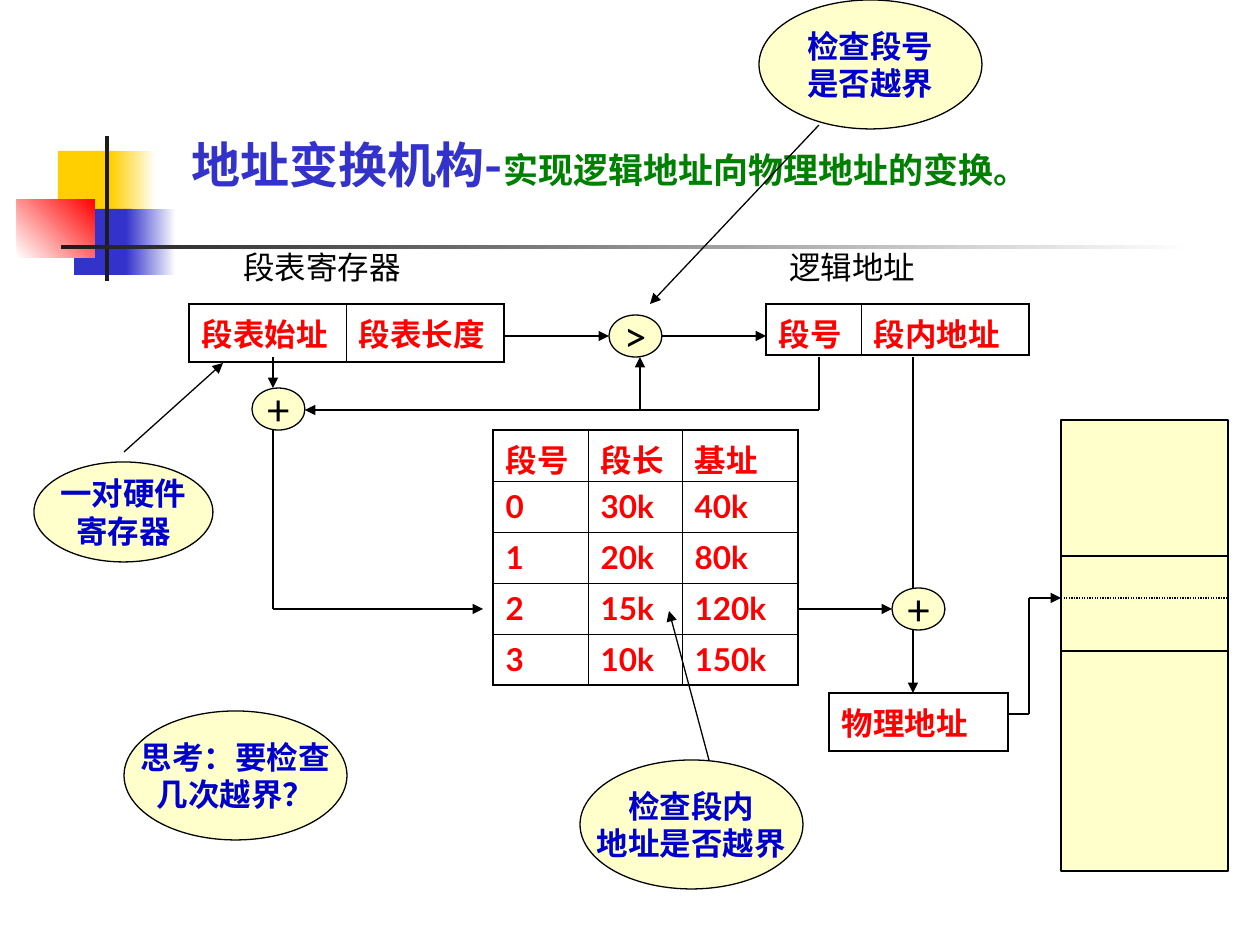
from dataclasses import dataclass
from itertools import pairwise
from typing import Any, Optional

from pptx import Presentation
from pptx.dml.color import RGBColor as Rgb
from pptx.enum.dml import MSO_LINE as Dash
from pptx.enum.shapes import MSO_CONNECTOR as Conn, MSO_SHAPE as Form
from pptx.enum.text import MSO_ANCHOR as Anchor, PP_ALIGN as Align
from pptx.oxml.xmlchemy import OxmlElement as Node
from pptx.util import Pt

SCALE = 914400 / 126
HAN = "Noto Sans CJK SC"
BLACK, CREAM, BLUE = "000000", "FFFFCC", "3333CC"
THICK, THIN = 1.08, 0.45


@dataclass
class Style:
    size: int
    face: str
    tint: str
    bold: bool = False


@dataclass
class Block:
    box: tuple
    fill: str
    fade: Optional[str] = None
    angle: int = 0


@dataclass
class Oval:
    box: tuple
    lines: list
    style: Style


@dataclass
class Grid:
    left: int
    top: int
    cols: list
    tall: int
    rows: list


@dataclass
class Route:
    stops: list
    head: bool = True
    dots: bool = False


LABEL = Style(18, "Lato", BLACK)
CELL = Style(18, "Lato", "FF0000", True)
NOTE = Style(18, "Times New Roman", "0000CC", True)
SIGN = Style(24, "Lato", BLACK)
HEAD = Style(28, HAN, BLUE, True)
SUB = Style(20, "Lato", "008000", True)

BLOCKS = [
    Block((58, 151, 60, 66), "FFCF01"),
    Block((111, 151, 45, 66), "FFCF01", "FFFFFF"),
    Block((74, 209, 58, 66), BLUE),
    Block((126, 209, 50, 66), BLUE, "FFFFFF"),
    Block((17, 199, 78, 59), "FFFFFF", "FF0000", 45),
    Block((105, 136, 4, 145), "1C1C1C"),
    Block((61, 245, 1134, 4), "1C1C1C", "FFFFFF"),
]
GRIDS = [
    Grid(829, 693, [179], 58, [["物理地址"]]),
    Grid(189, 304, [157, 158], 58, [["段表始址", "段表长度"]]),
    Grid(766, 304, [95, 168], 51, [["段号", "段内地址"]]),
    Grid(493, 430, [95, 94, 116], 51, [
        ["段号", "段长", "基址"],
        ["0", "30k", "40k"],
        ["1", "20k", "80k"],
        ["2", "15k", "120k"],
        ["3", "10k", "150k"],
    ]),
]
OVALS = [
    Oval((609, 315, 53, 42), [">"], SIGN),
    Oval((252, 388, 53, 42), ["+"], SIGN),
    Oval((892, 588, 53, 42), ["+"], SIGN),
    Oval((34, 462, 179, 100), ["一对硬件", "寄存器"], NOTE),
    Oval((580, 760, 223, 129), ["检查段内", "地址是否越界"], NOTE),
    Oval((124, 711, 223, 129), ["思考：要检查", "几次越界？"], NOTE),
    Oval((759, 0, 223, 129), ["检查段号", "是否越界"], NOTE),
]
ROUTES = [
    Route([(504, 336), (609, 336)]),
    Route([(662, 336), (766, 336)]),
    Route([(819, 357), (819, 410), (305, 410)]),
    Route([(640, 410), (640, 357)]),
    Route([(273, 357), (273, 388)]),
    Route([(273, 430), (273, 609), (483, 609)]),
    Route([(913, 357), (913, 588)], head=False),
    Route([(798, 609), (892, 609)]),
    Route([(913, 630), (913, 693)]),
    Route([(1061, 598), (1228, 598)], head=False, dots=True),
    Route([(1008, 714), (1029, 714), (1029, 598), (1061, 598)]),
    Route([(1061, 556), (1228, 556)], head=False),
    Route([(1061, 651), (1228, 651)], head=False),
    Route([(124, 452), (223, 363)]),
    Route([(819, 125), (650, 304)]),
    Route([(709, 760), (669, 611)]),
]


def px(n: int) -> int:
    return round(n * SCALE)


def rgb(tint: str) -> Rgb:
    return Rgb.from_string(tint)


def put(item: Any, vals: dict) -> None:
    for key, val in vals.items():
        setattr(item, key, val)


def write(para: Any, text: str, style: Style) -> None:
    run = para.add_run()
    run.text = text
    put(run.font, {"size": Pt(style.size), "name": style.face, "bold": style.bold})
    run.font.color.rgb = rgb(style.tint)
    east = Node("a:ea")
    east.set("typeface", HAN)
    run.font._element.find(Node("a:latin").tag).addnext(east)


def stroke(line: Any) -> None:
    line.width = Pt(0.75)
    line.color.rgb = rgb(BLACK)


def shape(slide: Any, form: Form, box: tuple, fill: str) -> Any:
    item = slide.shapes.add_shape(form, *map(px, box))
    item.shadow.inherit = False
    item.fill.solid()
    item.fill.fore_color.rgb = rgb(fill)
    return item


def block(slide: Any, b: Block) -> None:
    item = shape(slide, Form.RECTANGLE, b.box, b.fill)
    item.line.fill.background()
    if b.fade:
        item.fill.gradient()
        item.fill.gradient_angle = b.angle
        for stop, tint in zip(item.fill.gradient_stops, (b.fill, b.fade)):
            stop.color.rgb = rgb(tint)


def oval(slide: Any, o: Oval) -> None:
    item = shape(slide, Form.OVAL, o.box, CREAM)
    stroke(item.line)
    frame = item.text_frame
    put(frame, {"word_wrap": False, "vertical_anchor": Anchor.MIDDLE})
    for i, text in enumerate(o.lines):
        para = frame.add_paragraph() if i else frame.paragraphs[0]
        para.alignment = Align.CENTER
        write(para, text, o.style)


def words(slide: Any, box: tuple, parts: list, anchor: Anchor = Anchor.TOP) -> None:
    frame = slide.shapes.add_textbox(*map(px, box)).text_frame
    put(frame, {"word_wrap": True, "vertical_anchor": anchor})
    for text, style in parts:
        write(frame.paragraphs[0], text, style)


def edge(cell: Any, sides: dict) -> None:
    props = cell._tc.get_or_add_tcPr()
    for i, (side, outer) in enumerate(sides.items()):
        line, fill, tint = Node(f"a:ln{side}"), Node("a:solidFill"), Node("a:srgbClr")
        line.set("w", str(Pt(THICK if outer else THIN)))
        tint.set("val", BLACK)
        fill.append(tint)
        line.append(fill)
        props.insert(i, line)


def grid(slide: Any, g: Grid) -> None:
    high, wide = len(g.rows), len(g.cols)
    box = (g.left, g.top, sum(g.cols), g.tall * high)
    table = slide.shapes.add_table(high, wide, *map(px, box)).table
    put(table, {"first_row": False, "horz_banding": False})
    for col, width in zip(table.columns, g.cols):
        col.width = px(width)
    for r, row in enumerate(g.rows):
        table.rows[r].height = px(g.tall)
        for c, text in enumerate(row):
            cell = table.cell(r, c)
            put(cell, {"margin_top": px(6), "margin_bottom": 0})
            cell.fill.background()
            write(cell.text_frame.paragraphs[0], text, CELL)
            edge(cell, {"L": c == 0, "R": c == wide - 1, "T": r == 0, "B": r == high - 1})


def route(slide: Any, way: Route) -> None:
    for a, b in pairwise(way.stops):
        link = slide.shapes.add_connector(Conn.STRAIGHT, *map(px, a + b))
        stroke(link.line)
        if way.dots:
            link.line.dash_style = Dash.ROUND_DOT
        if way.head and b == way.stops[-1]:
            tip = Node("a:tailEnd")
            tip.set("type", "triangle")
            link.line._get_or_add_ln().append(tip)
        link._element.spPr.append(Node("a:effectLst"))


def main() -> None:
    deck = Presentation()
    put(deck, {"slide_width": px(1260), "slide_height": px(945)})
    slide = deck.slides.add_slide(deck.slide_layouts[6])
    for b in BLOCKS:
        block(slide, b)
    words(slide, (179, 95, 987, 105),
          [("地址变换机构-", HEAD), ("实现逻辑地址向物理地址的变换。", SUB)], Anchor.BOTTOM)
    for left, text in ((231, "段表寄存器"), (777, "逻辑地址")):
        words(slide, (left, 242, 199, 50), [(text, LABEL)])
    for g in GRIDS:
        grid(slide, g)
    stroke(shape(slide, Form.RECTANGLE, (1061, 420, 167, 451), CREAM).line)
    for o in OVALS:
        oval(slide, o)
    for way in ROUTES:
        route(slide, way)
    deck.save("out.pptx")


if __name__ == "__main__":
    main()
